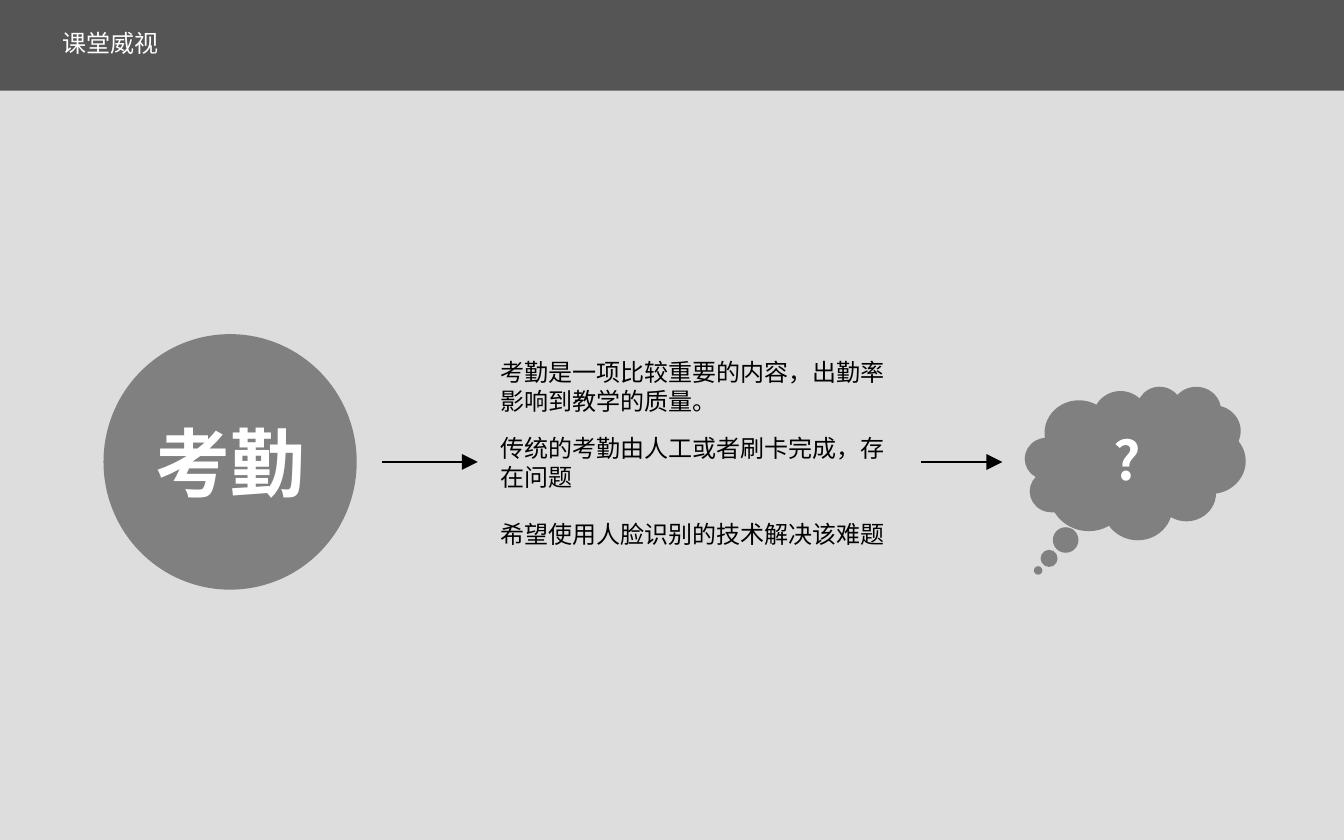
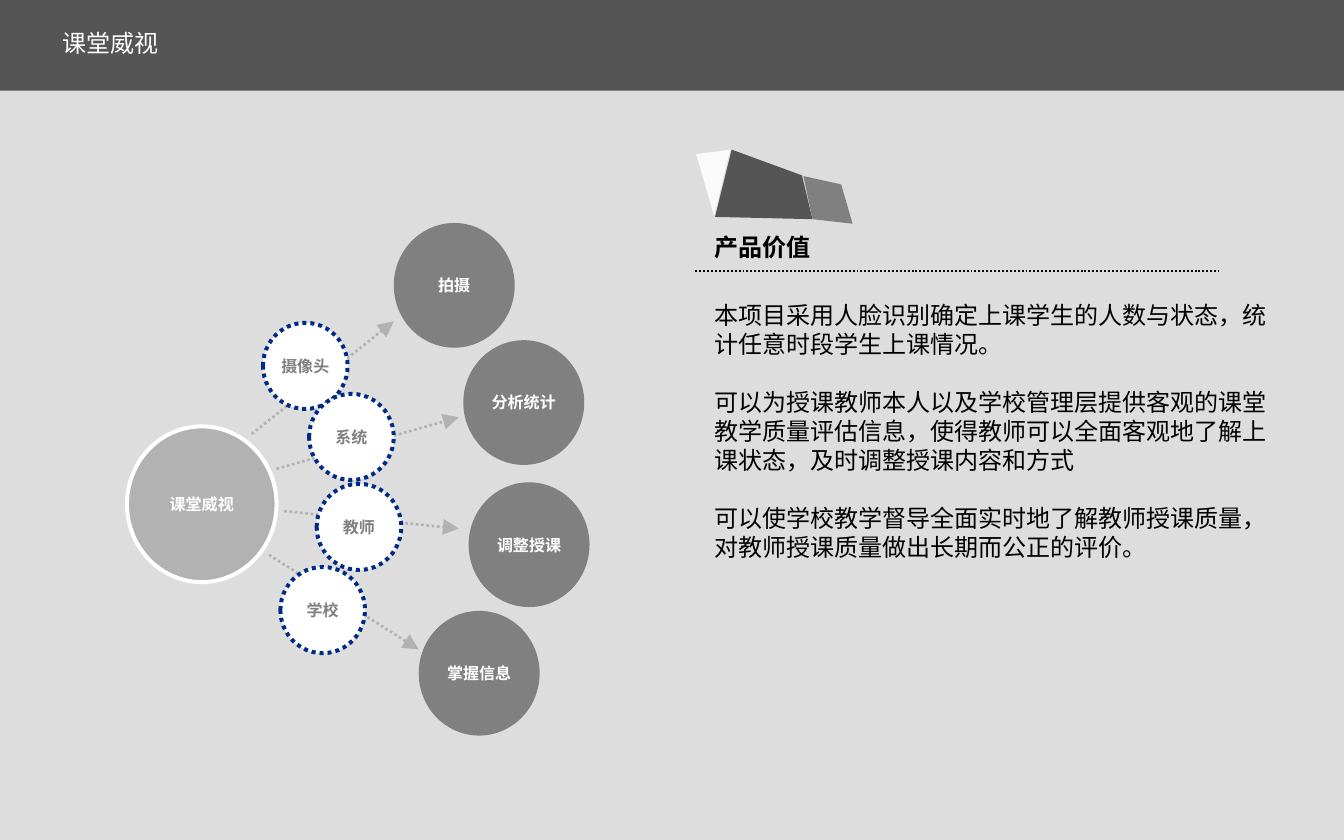
from lxml import etree
from pptx import Presentation, util as u
from pptx.dml.color import RGBColor
from pptx.enum import dml, shapes, text
from pptx.oxml.ns import qn

COLORS = {
    "page": "DDDDDD", "ink": "000000", "light": "FFFFFF",
    "grey": "808080", "pale": "B2B2B2", "navy": "002B84",
}
HEAD_FONT, BODY_FONT = "Noto Sans CJK SC", "Arial"
BRAND = "课堂威视"
LINKS = [
    ("摄像头", (1.8, 1.32), "拍摄", (3.53, 0), (1.65, 2.79, 3.53, 1.3)),
    ("系统", (2.41, 2.26), "分析统计", (4.45, 1.55), (1.98, 3.25, 4.39, 2.57)),
    ("教师", (2.51, 3.45), "调整授课", (4.52, 3.43), (2.08, 3.81, 4.39, 4.04)),
    ("学校", (2.03, 4.55), "掌握信息", (3.86, 5.13), (1.88, 4.39, 3.86, 5.64)),
]
FACETS = [
    ([(0.48, 0), (0.26, 0.89), (1.55, 0.92), (1.41, 0.34)], "ink", 61),
    ([(1.43, 0.35), (1.55, 0.92), (2.08, 0.98), (1.93, 0.46)], "grey", 100),
    ([(0.01, 0.06), (0.46, 0), (0.25, 0.88)], "light", 88),
]
ATTENDANCE = [
    "考勤是一项比较重要的内容，出勤率影响到教学的质量。",
    "传统的考勤由人工或者刷卡完成，存在问题",
    "希望使用人脸识别的技术解决该难题",
]
VALUES = [
    "本项目采用人脸识别确定上课学生的人数与状态，统计任意时段学生上课情况。",
    "可以为授课教师本人以及学校管理层提供客观的课堂教学质量评估信息，使得教师可以全面客观地了解上课状态，及时调整授课内容和方式",
    "可以使学校教学督导全面实时地了解教师授课质量，对教师授课质量做出长期而公正的评价。",
]


def rgb(name):
    """Return the named palette colour."""
    return RGBColor.from_string(COLORS[name])


def paint(sp, color, opacity=100, line=None, dash=None):
    """Fill a shape and give it an outline or none."""
    sp.shadow.inherit = False
    sp.fill.solid()
    sp.fill.fore_color.rgb = rgb(color)
    if opacity < 100:
        clr = sp._element.spPr.find(qn("a:solidFill"))[0]
        etree.SubElement(clr, qn("a:alpha"), val=str(opacity * 1000))
    if line:
        sp.line.color.rgb = rgb(line)
        sp.line.width = u.Pt(1.5)
        if dash:
            sp.line.dash_style = dash
    else:
        sp.line.fill.background()


def style(p, size, font, color, bold):
    """Format the runs of a paragraph."""
    for r in p.runs:
        r.font.size = u.Pt(size)
        r.font.name = font
        r.font.bold = bold
        r.font.color.rgb = rgb(color)
        etree.SubElement(r._r.get_or_add_rPr(), qn("a:ea"), typeface=HEAD_FONT)


def add_label(group, kind, box, label, size, font, fill, color="light", **outline):
    """Add a preset shape with a bold centred label."""
    sp = group.add_shape(kind, *map(u.Cm, box))
    paint(sp, fill, **outline)
    tf = sp.text_frame
    tf.text = label
    tf.word_wrap = False
    tf.vertical_anchor = text.MSO_ANCHOR.MIDDLE
    p = tf.paragraphs[0]
    p.alignment = text.PP_ALIGN.CENTER
    style(p, size, font, color, True)
    return sp


def add_text(s, box, lines, font, color="ink", bold=False, wrap=False, gaps=()):
    """Add a text box whose later paragraphs follow the given gaps."""
    tf = s.shapes.add_textbox(*map(u.Cm, box)).text_frame
    tf.text = "\n".join(lines)
    tf.word_wrap = wrap
    tf.auto_size = text.MSO_AUTO_SIZE.SHAPE_TO_FIT_TEXT
    for p in tf.paragraphs:
        style(p, 9, font, color, bold)
    for p, gap in zip(tf.paragraphs[1:], gaps):
        p.space_before = u.Pt(gap)


def add_line(s, ends, color="ink", width=0.75, dash=None, arrow=True):
    """Add a straight line, with an arrowhead unless told otherwise."""
    cx = s.shapes.add_connector(shapes.MSO_CONNECTOR.STRAIGHT, *map(u.Cm, ends))
    cx.line.color.rgb = rgb(color)
    cx.line.width = u.Pt(width)
    if dash:
        cx.line.dash_style = dash
    if arrow:
        etree.SubElement(cx.line._get_or_add_ln(), qn("a:tailEnd"), type="triangle")
    etree.SubElement(cx._element.spPr, qn("a:effectLst"))


def add_page(prs):
    """Add a slide with the shared header band."""
    s = prs.slides.add_slide(prs.slide_layouts[6])
    band = s.shapes.add_shape(shapes.MSO_SHAPE.RECTANGLE, 0, 0, prs.slide_width, u.Cm(1.2))
    paint(band, "ink", 61)
    add_text(s, (0.58, 0.25, 1.78, 0.64), [BRAND], HEAD_FONT, "light")
    return s


def draw_attendance(s, x, y):
    """Draw the flow from attendance through its issues to the question."""
    add_label(s.shapes, shapes.MSO_SHAPE.OVAL, (x, y, 3.35, 3.38),
              "考勤", 28, HEAD_FONT, "grey")
    for start, end in ((3.68, 4.95), (10.82, 11.89)):
        add_line(s, (x + start, y + 1.69, x + end, y + 1.69))
    cloud = add_label(s.shapes, shapes.MSO_SHAPE.CLOUD_CALLOUT,
                      (x + 12.19, y + 0.69, 2.92, 2.03), "?", 20, HEAD_FONT, "grey")
    cloud.adjustments[0], cloud.adjustments[1] = -0.44, 0.7
    add_text(s, (x + 5, y + 0.18, 5.69, 2.82), ATTENDANCE, BODY_FONT,
             wrap=True, gaps=(7, 10.5))


def draw_network(s, x, y):
    """Draw the hub, its roles and the outcome of each role."""
    oval, dots = shapes.MSO_SHAPE.OVAL, dml.MSO_LINE.ROUND_DOT
    for _, _, outcome, (dx, dy), _ in LINKS:
        add_label(s.shapes, oval, (x + dx, y + dy, 1.6, 1.65),
                  outcome, 6, BODY_FONT, "grey")
    add_label(s.shapes, oval, (x, y + 2.69, 1.98, 2.06),
              BRAND, 6, BODY_FONT, "pale", line="light")
    for *_, (x1, y1, x2, y2) in LINKS:
        add_line(s, (x + x1, y + y1, x + x2, y + y2), "pale", 1, dots)
    roles = s.shapes.add_group_shape().shapes
    for role, (dx, dy), *_ in LINKS:
        add_label(roles, oval, (x + dx, y + dy, 1.12, 1.14),
                  role, 6, BODY_FONT, "light", "grey", line="navy", dash=dots)


def draw_value(s, x, y):
    """Draw the faceted ornament, heading, rule and value statements."""
    add_text(s, (x, y + 1.87, 7.82, 3.71), VALUES, BODY_FONT, wrap=True, gaps=(11, 11))
    add_text(s, (x, y + 0.97, 1.8, 0.64), ["产品价值"], HEAD_FONT, bold=True)
    add_line(s, (x, y + 1.6, x + 6.93, y + 1.6), dash=dml.MSO_LINE.ROUND_DOT, arrow=False)
    facets = s.shapes.add_group_shape().shapes
    for corners, color, opacity in FACETS:
        points = [(u.Cm(x + dx), u.Cm(y + dy)) for dx, dy in corners]
        fb = facets.build_freeform(*points[0])
        fb.add_line_segments(points[1:])
        paint(fb.convert_to_shape(), color, opacity)


def main():
    """Build and save the presentation."""
    prs = Presentation()
    prs.slide_width, prs.slide_height = u.Cm(17.78), u.Cm(11.11)
    page = prs.slide_master.background.fill
    page.solid()
    page.fore_color.rgb = rgb("page")
    draw_attendance(add_page(prs), 1.37, 4.42)
    s = add_page(prs)
    draw_network(s, 1.68, 2.95)
    draw_value(s, 9.2, 1.98)
    prs.save("out.pptx")


if __name__ == "__main__":
    main()
